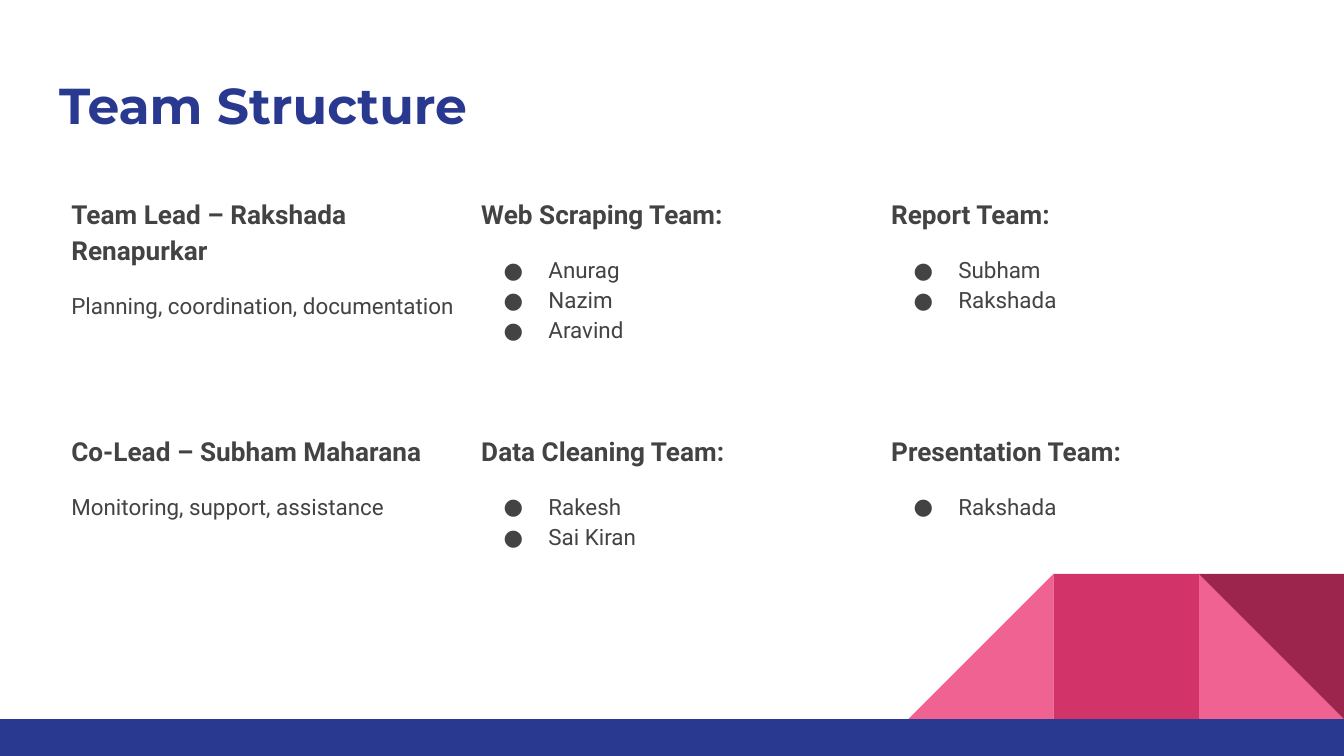
from dataclasses import dataclass

from lxml import etree
from pptx import Presentation
from pptx.dml.color import RGBColor
from pptx.enum.shapes import MSO_SHAPE
from pptx.enum.text import MSO_ANCHOR, MSO_AUTO_SIZE, PP_ALIGN
from pptx.oxml.ns import qn
from pptx.util import Pt

RECTANGLE = MSO_SHAPE.RECTANGLE
TRIANGLE = MSO_SHAPE.RIGHT_TRIANGLE
TOP = MSO_ANCHOR.TOP
LEFT = PP_ALIGN.LEFT
NO_AUTOFIT = MSO_AUTO_SIZE.NONE

TITLE = "Team Structure"
# Each cell: heading, lines, whether the lines are bulleted
TEAMS = [
    [
        ("Team Lead – Rakshada Renapurkar", ["Planning, coordination, documentation"], False),
        ("Web Scraping Team:", ["Anurag", "Nazim", "Aravind"], True),
        ("Report Team:", ["Subham", "Rakshada"], True),
    ],
    [
        ("Co-Lead – Subham Maharana", ["Monitoring, support, assistance"], False),
        ("Data Cleaning Team:", ["Rakesh", "Sai Kiran"], True),
        ("Presentation Team:", ["Rakshada"], True),
    ],
]


@dataclass(frozen=True)
class Theme:
    blue: str = "2A3990"
    light_pink: str = "F06292"
    pink: str = "D23369"
    dark_pink: str = "9C254D"
    text: str = "434343"
    white: str = "FFFFFF"
    title_font: str = "Montserrat"
    body_font: str = "Roboto"
    title_size: int = 27
    heading_size: int = 14
    body_size: int = 12
    line_spacing: float = 1.15


THEME = Theme()

SLIDE_WIDTH, SLIDE_HEIGHT = 720, 405
BAR_HEIGHT = 19.8
BLOCK_SIZE = 77.8
INSET = 7.2
TABLE_LEFT, TABLE_TOP = 31, 97.8
COLUMN_WIDTH = 219.6
ROW_HEIGHTS = [126.7, 74.2]
BORDER_WIDTH = 0.75
BULLET_INDENT, BULLET_HANG = 36, 24

# Blocks counted from the right edge: slot, shape, colour, rotation, mirrored
BLOCKS = [
    (1, TRIANGLE, THEME.light_pink, 0, False),
    (3, TRIANGLE, THEME.light_pink, 0, True),
    (2, RECTANGLE, THEME.pink, 0, False),
    (1, TRIANGLE, THEME.dark_pink, 180, False),
]


def add_filled_shape(slide, kind, left, top, width, height, color):
    shape = slide.shapes.add_shape(kind, Pt(left), Pt(top), Pt(width), Pt(height))
    shape.shadow.inherit = False
    shape.fill.solid()
    shape.fill.fore_color.rgb = RGBColor.from_string(color)
    shape.line.fill.background()
    return shape


def add_decoration(slide):
    bar_top = SLIDE_HEIGHT - BAR_HEIGHT
    for slot, kind, color, rotation, mirrored in BLOCKS:
        block = add_filled_shape(slide, kind, SLIDE_WIDTH - slot * BLOCK_SIZE,
                                 bar_top - BLOCK_SIZE, BLOCK_SIZE, BLOCK_SIZE, color)
        block.rotation = rotation
        if mirrored:
            block._element.spPr.find(qn("a:xfrm")).set("flipH", "1")
    add_filled_shape(slide, RECTANGLE, 0, bar_top, SLIDE_WIDTH, BAR_HEIGHT, THEME.blue)


def add_run(paragraph, text, font_name, size, color, bold):
    run = paragraph.add_run()
    run.text = text
    run.font.name = font_name
    run.font.size = Pt(size)
    run.font.bold = bold
    run.font.color.rgb = RGBColor.from_string(color)


def set_insets(target):
    target.margin_left = target.margin_right = Pt(INSET)
    target.margin_top = target.margin_bottom = Pt(INSET)


def format_title(slide):
    title = slide.shapes.title
    title.left, title.top, title.width, title.height = Pt(24.5), Pt(32.4), Pt(671), Pt(47.5)
    frame = title.text_frame
    set_insets(frame)
    frame.word_wrap = True
    frame.auto_size = NO_AUTOFIT
    frame.vertical_anchor = TOP
    paragraph = frame.paragraphs[0]
    paragraph.alignment = LEFT
    add_run(paragraph, TITLE, THEME.title_font, THEME.title_size, THEME.blue, True)


def add_bullet(paragraph):
    properties = paragraph._p.get_or_add_pPr()
    properties.set("marL", str(Pt(BULLET_INDENT)))
    properties.set("indent", str(-Pt(BULLET_HANG)))
    color = etree.SubElement(properties, qn("a:buClr"))
    etree.SubElement(color, qn("a:srgbClr"), val=THEME.text)
    etree.SubElement(properties, qn("a:buFont"), typeface=THEME.body_font)
    etree.SubElement(properties, qn("a:buChar"), char="●")


def add_borders(cell):
    properties = cell._tc.get_or_add_tcPr()
    for side in ("lnL", "lnR", "lnT", "lnB"):
        line = etree.SubElement(properties, qn(f"a:{side}"), w=str(Pt(BORDER_WIDTH)))
        fill = etree.SubElement(line, qn("a:solidFill"))
        etree.SubElement(fill, qn("a:srgbClr"), val=THEME.white)


def fill_cell(cell, heading, lines, bulleted):
    set_insets(cell)
    cell.vertical_anchor = TOP
    add_borders(cell)
    cell.fill.background()

    frame = cell.text_frame
    paragraph = frame.paragraphs[0]
    paragraph.line_spacing = THEME.line_spacing
    paragraph.space_before = Pt(THEME.heading_size)
    add_run(paragraph, heading, THEME.body_font, THEME.heading_size, THEME.text, True)

    for index, line in enumerate(lines):
        paragraph = frame.add_paragraph()
        paragraph.line_spacing = THEME.line_spacing
        paragraph.space_before = Pt(0 if index else THEME.body_size)
        if bulleted:
            add_bullet(paragraph)
        add_run(paragraph, line, THEME.body_font, THEME.body_size, THEME.text, False)


def add_team_table(slide):
    column_count = len(TEAMS[0])
    table = slide.shapes.add_table(
        len(TEAMS), column_count, Pt(TABLE_LEFT), Pt(TABLE_TOP),
        Pt(column_count * COLUMN_WIDTH), Pt(sum(ROW_HEIGHTS))).table
    table.first_row = False
    table.horz_banding = False
    for column in table.columns:
        column.width = Pt(COLUMN_WIDTH)
    for row_index, teams in enumerate(TEAMS):
        table.rows[row_index].height = Pt(ROW_HEIGHTS[row_index])
        for column_index, team in enumerate(teams):
            fill_cell(table.cell(row_index, column_index), *team)


def main():
    presentation = Presentation()
    presentation.slide_width = Pt(SLIDE_WIDTH)
    presentation.slide_height = Pt(SLIDE_HEIGHT)
    slide = presentation.slides.add_slide(presentation.slide_layouts[5])
    slide.background.fill.solid()
    slide.background.fill.fore_color.rgb = RGBColor.from_string(THEME.white)
    add_decoration(slide)
    format_title(slide)
    add_team_table(slide)
    presentation.save("out.pptx")


if __name__ == "__main__":
    main()
